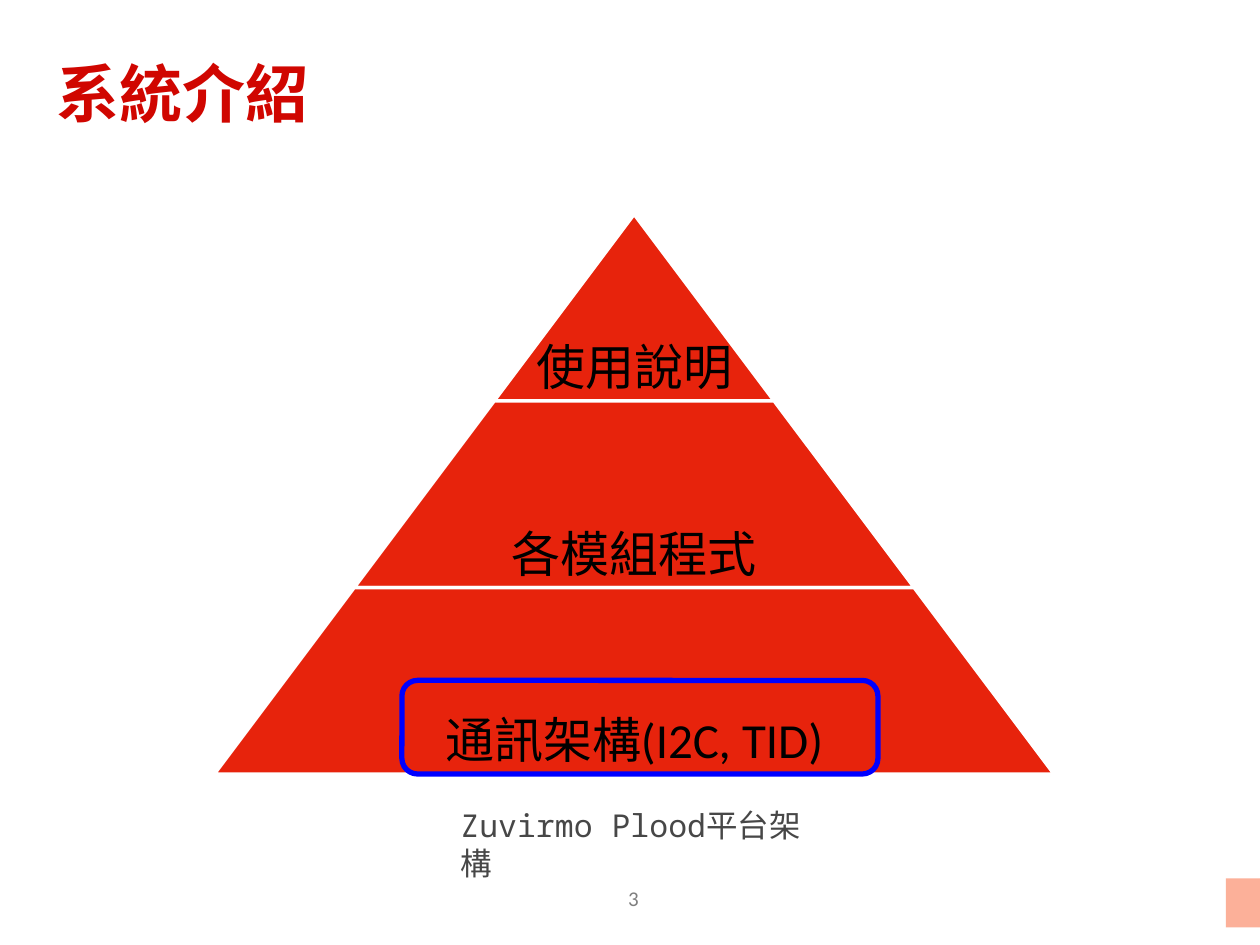
from pptx import Presentation
from pptx.dml.color import RGBColor
from pptx.enum import shapes, text
from pptx.util import Pt

KIND = shapes.MSO_SHAPE
ANCHOR = text.MSO_ANCHOR
ALIGN = text.PP_ALIGN


def color(code):
    """Turn a hex string into a colour."""
    return RGBColor.from_string(code)


def write(shape, words, size, ink, face="Calibri", bold=False,
          align=ALIGN.LEFT, anchor=ANCHOR.TOP, wrap=True, space=1.0):
    """Set and format the single paragraph of a shape."""
    frame = shape.text_frame
    frame.text = words
    frame.word_wrap = wrap
    frame.vertical_anchor = anchor
    para = frame.paragraphs[0]
    para.alignment = align
    para.line_spacing = space
    font = para.runs[0].font
    font.size, font.name, font.bold = Pt(size), face, bold
    font.color.rgb = color(ink)


def label(slide, box, words, size, ink, **style):
    """Add a text box."""
    write(slide.shapes.add_textbox(*map(Pt, box)), words, size, ink, **style)


def draw(slide, kind, box, fill=None, line=None, width=0):
    """Add a preset shape with plain fill and line."""
    shape = slide.shapes.add_shape(kind, *map(Pt, box))
    shape.shadow.inherit = False
    if fill:
        shape.fill.solid()
        shape.fill.fore_color.rgb = color(fill)
    else:
        shape.fill.background()
    if line:
        shape.line.color.rgb = color(line)
        shape.line.width = Pt(width)
    else:
        shape.line.fill.background()
    return shape


def pyramid(slide, box, tiers):
    """Stack trapezoid tiers into a triangle that fills the box."""
    left, top, width, height = box
    count = len(tiers)
    step, rise = width / count, height / count
    for i, words in enumerate(tiers):
        wide = step * (i + 1)
        place = (left + (width - wide) / 2, top + i * rise, wide, rise)
        tier = draw(slide, KIND.TRAPEZOID, place, "E7230C", "FFFFFF", 2)
        tier.adjustments[0] = step / 2 / rise
        frame = tier.text_frame
        frame.margin_left = frame.margin_right = Pt(2.8)
        frame.margin_top = frame.margin_bottom = Pt(2.8)
        write(tier, words, 28, "000000", align=ALIGN.CENTER,
              anchor=ANCHOR.BOTTOM, wrap=False, space=0.9)


def build():
    """Build and save the slide."""
    deck = Presentation()
    deck.slide_width, deck.slide_height = Pt(720), Pt(540)
    slide = deck.slides.add_slide(deck.slide_layouts[6])
    draw(slide, KIND.RECTANGLE, (700.5, 502, 21, 28), "FCB099")
    label(slide, (25, 8.6, 669, 88.6), "系統介紹", 36, "D00600",
          bold=True, anchor=ANCHOR.MIDDLE)
    label(slide, (278, 500.4, 168, 28.8), "3", 12, "7F7F7F",
          align=ALIGN.CENTER, anchor=ANCHOR.MIDDLE, space=0.8)
    pyramid(slide, (122.4, 122.4, 480, 320),
            ["使用說明", "各模組程式", "通訊架構(I2C, TID)"])
    label(slide, (256, 457, 212.4, 29), "Zuvirmo Plood平台架構", 18,
          "474747", face="Noto Sans Mono")
    draw(slide, KIND.ROUNDED_RECTANGLE, (229.7, 388.8, 272, 53.5),
         line="0000FF", width=3)
    deck.save("out.pptx")


if __name__ == "__main__":
    build()
